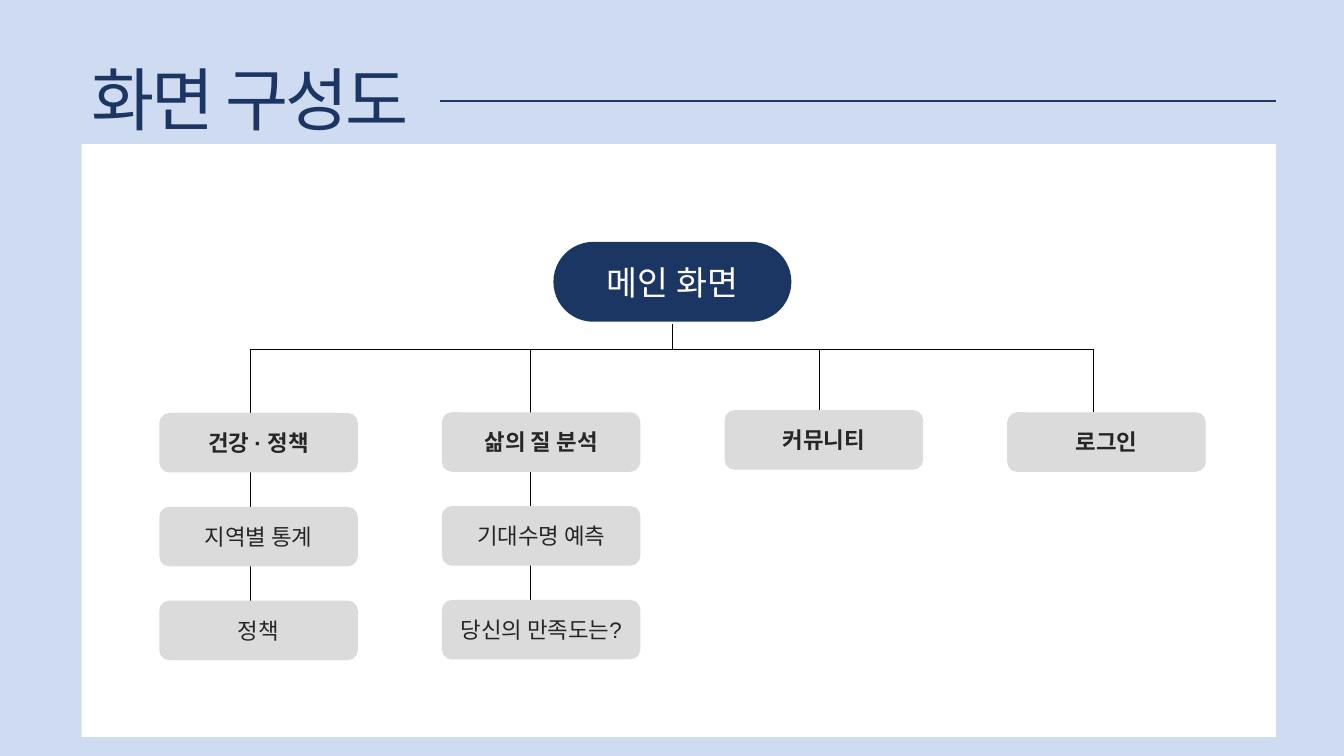
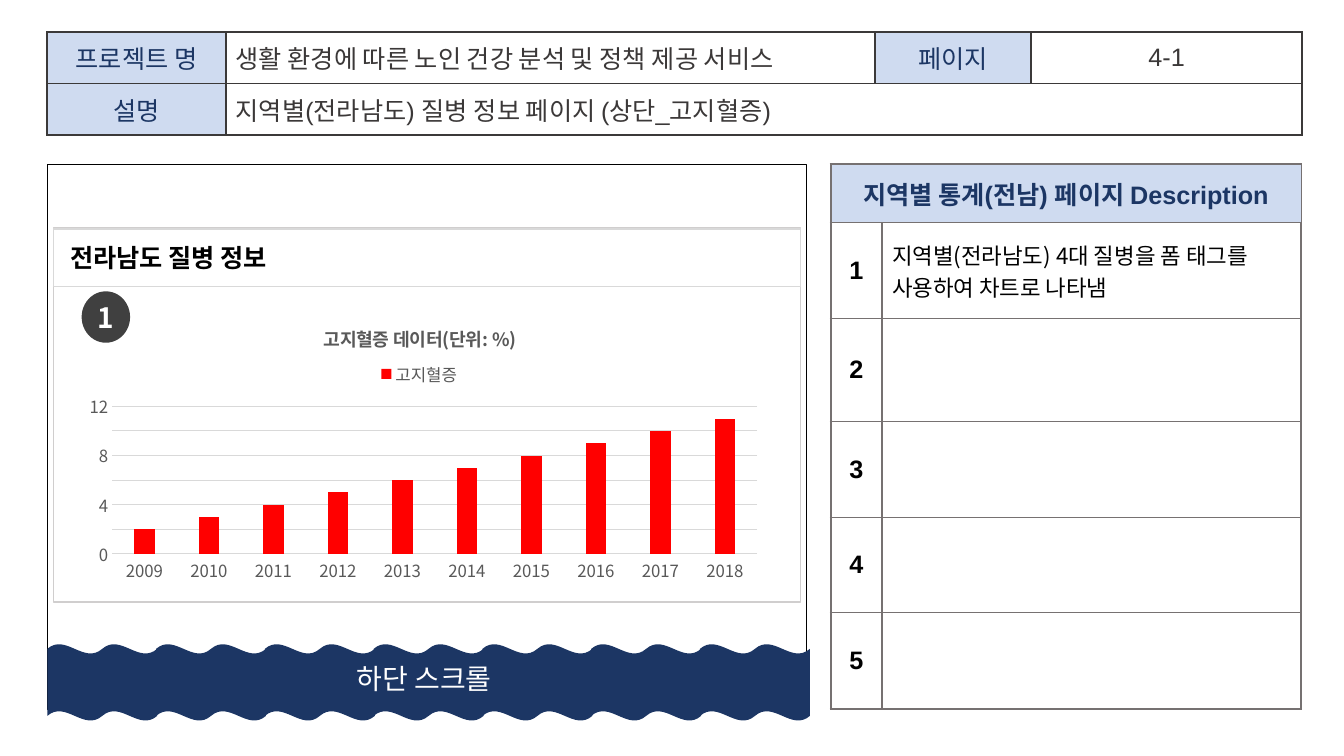
import collections

import pptx
import pptx.chart.data
import pptx.dml.color
import pptx.enum.chart
import pptx.enum.shapes
import pptx.enum.text
import pptx.oxml
import pptx.oxml.ns
import pptx.util

Pt = pptx.util.Pt
RGBColor = pptx.dml.color.RGBColor
Shape = pptx.enum.shapes.MSO_SHAPE
Align = pptx.enum.text.PP_ALIGN
Anchor = pptx.enum.text.MSO_ANCHOR
Area = collections.namedtuple("Area", "left top width height")

NAVY = RGBColor(0x1C, 0x36, 0x64)
RULE_NAVY = RGBColor(0x20, 0x38, 0x64)
PALE_BLUE = RGBColor(0xCF, 0xDB, 0xF0)
WHITE = RGBColor(0xFF, 0xFF, 0xFF)
BLACK = RGBColor(0x00, 0x00, 0x00)
CARD_GRAY = RGBColor(0xDB, 0xDB, 0xDB)
CARD_TEXT = RGBColor(0x26, 0x26, 0x26)
BADGE_GRAY = RGBColor(0x40, 0x40, 0x40)
INFO_TEXT = RGBColor(0x3B, 0x38, 0x38)
INFO_BORDER = RGBColor(0x3B, 0x39, 0x39)
NOTE_BORDER = RGBColor(0x76, 0x71, 0x71)
PANEL_LINE = RGBColor(0xD0, 0xCE, 0xCE)
LIGHT_LINE = RGBColor(0xD9, 0xD9, 0xD9)
CHART_TEXT = RGBColor(0x59, 0x59, 0x59)
RED = RGBColor(0xFF, 0x00, 0x00)

LATIN = "Arial"
KOREAN = "Noto Sans CJK KR"

SITE_TREE = [
    (178.6, 295, ["건강 · 정책", "지역별 통계", "정책"]),
    (378.7, 294.5, ["삶의 질 분석", "기대수명 예측", "당신의 만족도는?"]),
    (585.4, 293, ["커뮤니티"]),
    (781.2, 294.5, ["로그인"]),
]
YEARS = [str(year) for year in range(2009, 2019)]
RATES = list(range(2, 12))


def inside(area, left, top, width, height):
    return Area(area.left + left, area.top + top, width, height)


def points(area):
    return [Pt(length) for length in area]


def xml(tag, body="", **attributes):
    settings = "".join(f' {name}="{value}"' for name, value in attributes.items())
    namespaces = pptx.oxml.ns.nsdecls("a", "c")
    return pptx.oxml.parse_xml(f"<{tag} {namespaces}{settings}>{body}</{tag}>")


def add_text(frame, text, size=18, color=BLACK, bold=False, font=LATIN,
             align=Align.LEFT, anchor=Anchor.MIDDLE, spacing=None, wrap=True):
    frame.word_wrap = wrap
    frame.vertical_anchor = anchor
    para = frame.paragraphs[0]
    para.alignment = align
    span = para.add_run()
    span.text = text
    span.font.size = Pt(size)
    span.font.bold = bold
    span.font.name = font
    span.font.color.rgb = color
    properties = span._r.get_or_add_rPr()
    properties.find(pptx.oxml.ns.qn("a:latin")).addnext(xml("a:ea", typeface=KOREAN))
    if spacing is not None:
        properties.set("spc", str(round(spacing * 100)))


def add_label(page, area, text, **style):
    box = page.shapes.add_textbox(*points(area))
    add_text(box.text_frame, text, **style)


def add_box(page, area, kind=Shape.RECTANGLE, fill=None, line=None, weight=1):
    box = page.shapes.add_shape(kind, *points(area))
    box.shadow.inherit = False
    if fill is None:
        box.fill.background()
    else:
        box.fill.solid()
        box.fill.fore_color.rgb = fill
    if line is None:
        box.line.fill.background()
    else:
        box.line.color.rgb = line
        box.line.width = Pt(weight)
    return box


def add_line(page, start, end, color=BLACK, weight=0.5):
    line = page.shapes.add_connector(
        pptx.enum.shapes.MSO_CONNECTOR.STRAIGHT,
        *[Pt(length) for length in (*start, *end)])
    line.line.color.rgb = color
    line.line.width = Pt(weight)
    line._element.spPr.append(xml("a:effectLst"))


def add_grid(page, area, columns, rows):
    table = page.shapes.add_table(len(rows), len(columns), *points(area)).table
    table.first_row = False
    table.horz_banding = False
    for column, width in zip(table.columns, columns):
        column.width = Pt(width)
    for row, height in zip(table.rows, rows):
        row.height = Pt(height)
    return table


def style_cell(cell, fill, border, weights):
    properties = cell._tc.get_or_add_tcPr()
    color = f'<a:solidFill><a:srgbClr val="{border}"/></a:solidFill>'
    for index, (side, weight) in enumerate(zip("LRTB", weights)):
        properties.insert(index, xml(f"a:ln{side}", color, w=Pt(weight)))
    cell.fill.solid()
    cell.fill.fore_color.rgb = fill
    cell.vertical_anchor = Anchor.MIDDLE


def fill_cell(cell, text, align=Align.CENTER, **style):
    if align == Align.CENTER:
        cell.margin_left = cell.margin_right = Pt(3.6)
    add_text(cell.text_frame, text, align=align, **style)


def draw_heading(page, area, text):
    add_label(page, area, text, size=49, color=NAVY, spacing=-1.9, anchor=Anchor.TOP)
    middle = area.top + 34.6
    add_line(page, (area.left + 255.7, middle), (area.left + area.width, middle),
             RULE_NAVY, 1.5)


def draw_site_tree(page, area):
    add_box(page, area, fill=WHITE)
    card_width, card_height, column_step, row_step = 141.8, 42.5, 201.9, 67
    bus, first_left = 249.8, 113.8
    root = inside(area, 337, 69.8, 170, 57)
    root_box = add_box(page, root, Shape.ROUNDED_RECTANGLE, fill=NAVY)
    root_box.adjustments[0] = 0.5
    add_text(root_box.text_frame, "메인 화면", size=24, color=WHITE, align=Align.CENTER)
    center = root.left + root.width / 2
    add_line(page, (center, root.top + root.height + 1.5), (center, bus))
    add_line(page, (SITE_TREE[0][0], bus), (SITE_TREE[-1][0], bus))
    for column, (stem, top, names) in enumerate(SITE_TREE):
        last_top = top + (len(names) - 1) * row_step
        add_line(page, (stem, bus), (stem, last_top))
        for row, name in enumerate(names):
            place = Area(first_left + column * column_step, top + row * row_step,
                         card_width, card_height)
            card = add_box(page, place, Shape.ROUNDED_RECTANGLE, fill=CARD_GRAY)
            add_text(card.text_frame, name, size=16, color=CARD_TEXT,
                     bold=row == 0, align=Align.CENTER)


def draw_project_table(page, area):
    table = add_grid(page, area, [127.4, 463.7, 111.6, 193.7], [area.height / 2] * 2)
    table.cell(1, 1).merge(table.cell(1, 3))
    rows = [
        ["프로젝트 명", "생활 환경에 따른 노인 건강 분석 및 정책 제공 서비스", "페이지", "4-1"],
        ["설명", "지역별(전라남도) 질병 정보 페이지 (상단_고지혈증)", "", ""],
    ]
    for row, texts in enumerate(rows):
        for column, text in enumerate(texts):
            cell = table.cell(row, column)
            heading = column == 0 or (row, column) == (0, 2)
            style_cell(cell, PALE_BLUE if heading else WHITE, INFO_BORDER, [1.5] * 4)
            if text:
                fill_cell(cell, text, color=NAVY if heading else INFO_TEXT,
                          align=Align.LEFT if column == 1 else Align.CENTER)


def draw_notes_table(page, area):
    heights = [41.8, 68.4, 73.4, 68.4, 68.4, 68.4]
    table = add_grid(page, area, [36.7, 299.5], heights)
    table.cell(0, 0).merge(table.cell(0, 1))
    last = len(heights) - 1
    for row in range(len(heights)):
        top = 1.5 if row == 0 else 1
        bottom = 1.5 if row == last else 1
        for column, sides in enumerate([(1.5, 1), (1, 1.5)]):
            style_cell(table.cell(row, column), WHITE if row else PALE_BLUE,
                       NOTE_BORDER, (*sides, top, bottom))
        if row:
            fill_cell(table.cell(row, 0), str(row), bold=True)
    fill_cell(table.cell(0, 0), "지역별 통계(전남) 페이지 Description",
              color=NAVY, bold=True)
    fill_cell(table.cell(1, 1), "지역별(전라남도) 4대 질병을 폼 태그를 사용하여 차트로 나타냄",
              align=Align.LEFT, size=16, font=KOREAN)


def manual_layout(left, top, width=None, height=None, target=""):
    body = f'<c:layoutTarget val="{target}"/>' if target else ""
    body += '<c:xMode val="edge"/><c:yMode val="edge"/>'
    for name, value in zip("xywh", (left, top, width, height)):
        if value is not None:
            body += f'<c:{name} val="{value}"/>'
    return xml("c:layout", f"<c:manualLayout>{body}</c:manualLayout>")


def place_part(element, layout, after=None):
    for old in element.findall(pptx.oxml.ns.qn("c:layout")):
        element.remove(old)
    if after is None:
        element.insert(0, layout)
    else:
        element.find(pptx.oxml.ns.qn(after)).addnext(layout)


def style_font(font, size=12):
    font.size = Pt(size)
    font.name = KOREAN
    font.color.rgb = CHART_TEXT


def draw_rate_chart(page, area):
    data = pptx.chart.data.CategoryChartData()
    data.categories = YEARS
    data.add_series("고지혈증", RATES)
    chart = page.shapes.add_chart(
        pptx.enum.chart.XL_CHART_TYPE.COLUMN_CLUSTERED, *points(area), data).chart
    style_font(chart.font)
    chart.has_title = True
    add_text(chart.chart_title.text_frame, "고지혈증 데이터(단위: %)", size=13,
             color=CHART_TEXT, bold=True, font=KOREAN, align=Align.CENTER)
    place_part(chart.chart_title._element, manual_layout(0.35, 0.07), "c:tx")
    chart.has_legend = True
    chart.legend.position = pptx.enum.chart.XL_LEGEND_POSITION.TOP
    chart.legend.include_in_layout = False
    style_font(chart.legend.font)
    place_part(chart.legend._element, manual_layout(0.43, 0.2), "c:legendPos")
    plot = chart.plots[0]
    plot.vary_by_categories = False
    plot.gap_width = 219
    plot.overlap = -27
    fill = plot.series[0].format.fill
    fill.solid()
    fill.fore_color.rgb = RED
    place_part(chart._chartSpace.chart.plotArea,
               manual_layout(0.05, 0.37, 0.93, 0.51, "inner"))
    for axis in (chart.category_axis, chart.value_axis):
        axis.major_tick_mark = pptx.enum.chart.XL_TICK_MARK.NONE
        style_font(axis.tick_labels.font)
    values = chart.value_axis
    values.minimum_scale, values.maximum_scale, values.major_unit = 0, 12, 2
    values.format.line.fill.background()
    for line in (chart.category_axis.format.line, values.major_gridlines.format.line):
        line.color.rgb = LIGHT_LINE
        line.width = Pt(0.75)


def draw_scroll_band(page, area):
    count, step = 7, 77.7
    for index in range(count):
        add_box(page, inside(area, index * step, 0, 78.5, area.height),
                Shape.DOUBLE_WAVE, fill=NAVY)
    add_label(page, inside(area, 208, 8.6, 122.4, 31.7), "하단 스크롤", size=20,
              color=WHITE, font=KOREAN, align=Align.CENTER, anchor=Anchor.TOP, wrap=False)


def draw_screen(page, area):
    add_box(page, area, line=BLACK, weight=0)
    add_box(page, inside(area, 4.3, 45.4, 533.5, 267.1), line=PANEL_LINE)
    header = add_box(page, inside(area, 4.3, 46.1, 533.5, 41), line=LIGHT_LINE)
    header.text_frame.margin_left = Pt(12)
    add_text(header.text_frame, "전라남도 질병 정보", bold=True)
    draw_rate_chart(page, inside(area, 21.6, 96.5, 495.4, 206.6))
    badge = add_box(page, inside(area, 24.5, 90.7, 34.6, 36.7), Shape.OVAL, fill=BADGE_GRAY)
    badge.text_frame.margin_left = badge.text_frame.margin_right = 0
    add_text(badge.text_frame, "1", size=20, color=WHITE, bold=True, font=KOREAN,
             align=Align.CENTER)
    draw_scroll_band(page, inside(area, 0, 342.7, 544.3, 54.7))


def add_page(deck, background):
    page = deck.slides.add_slide(deck.slide_layouts[6])
    page.background.fill.solid()
    page.background.fill.fore_color.rgb = background
    return page


def main():
    deck = pptx.Presentation()
    deck.slide_width, deck.slide_height = Pt(960), Pt(540)
    tree_page = add_page(deck, PALE_BLUE)
    draw_heading(tree_page, Area(58.3, 37.4, 853.2, 67), "화면 구성도")
    draw_site_tree(tree_page, Area(58.3, 103, 853.2, 423.4))
    screen_page = add_page(deck, WHITE)
    draw_screen(screen_page, Area(33.8, 117.4, 542.2, 389.5))
    draw_notes_table(screen_page, Area(593.3, 117.4, 336.2, 388.8))
    draw_project_table(screen_page, Area(33.8, 23, 896.4, 73.4))
    deck.save("out.pptx")


if __name__ == "__main__":
    main()
